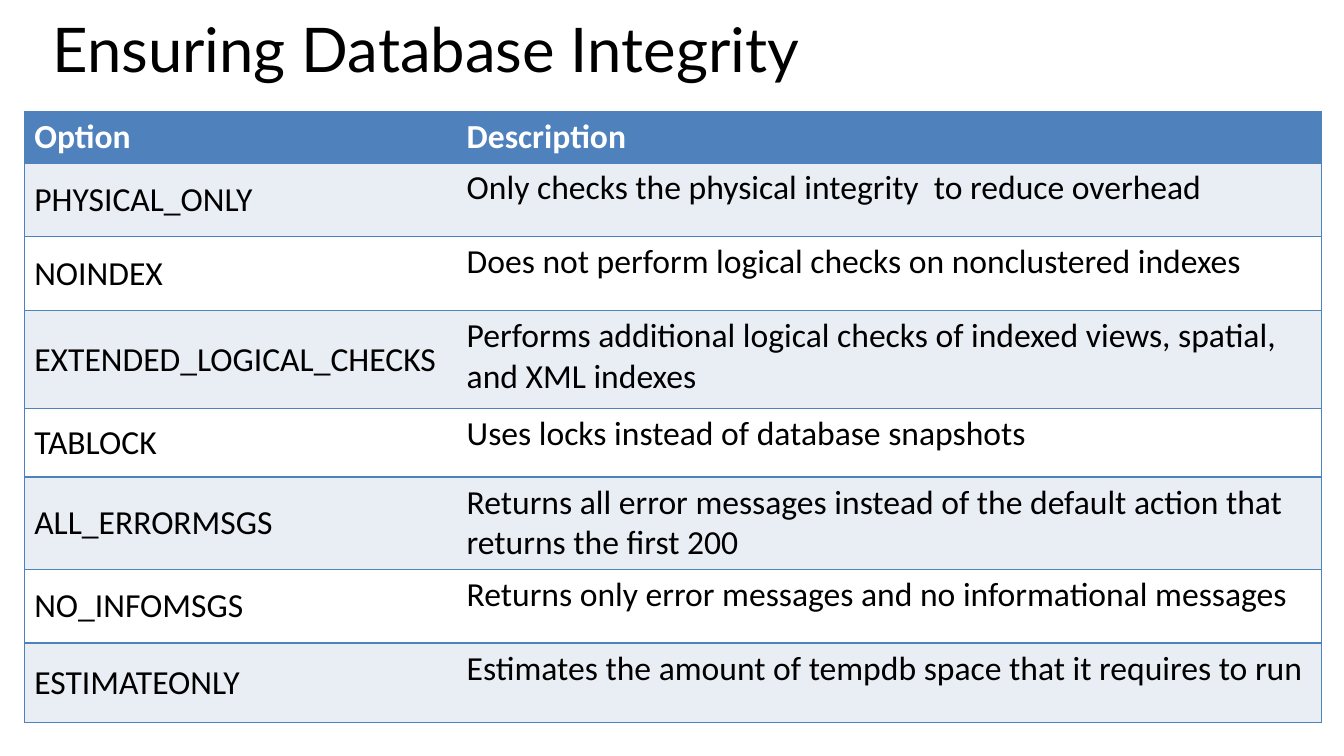
"""Build a slide that lists the options for checking database integrity."""
from dataclasses import dataclass

from lxml.etree import SubElement
from pptx import Presentation
from pptx.dml.color import RGBColor
from pptx.enum.text import MSO_ANCHOR, MSO_AUTO_SIZE, PP_ALIGN
from pptx.oxml.ns import qn
from pptx.util import Pt

BLUE = "4F81BD"
PALE = "E9EDF4"
WHITE = "FFFFFF"
BLACK = "000000"


@dataclass
class Row:
    option: str
    detail: str
    height: float


ROWS = [
    Row("Option", "Description", 36.5),
    Row("PHYSICAL_ONLY", "Only checks the physical integrity  to reduce overhead", 52.8),
    Row("NOINDEX", "Does not perform logical checks on nonclustered indexes", 52.8),
    Row("EXTENDED_LOGICAL_CHECKS",
        "Performs additional logical checks of indexed views, spatial, and XML indexes", 69.8),
    Row("TABLOCK", "Uses locks instead of database snapshots", 49),
    Row("ALL_ERRORMSGS",
        "Returns all error messages instead of the default action that returns the first 200", 65.8),
    Row("NO_INFOMSGS", "Returns only error messages and no informational messages", 52.8),
    Row("ESTIMATEONLY", "Estimates the amount of tempdb space that it requires to run", 56.6),
]
WIDTHS = (308.9, 617.7)


def color(code: str) -> RGBColor:
    return RGBColor.from_string(code)


def style(part, face: str, size: float, code: str, bold: bool = False) -> None:
    for run in part.runs:
        run.font.name = face
        run.font.size = Pt(size)
        run.font.bold = bold
        run.font.color.rgb = color(code)


def border(cell, sides: str) -> None:
    props = cell._tc.get_or_add_tcPr()
    for spot, side in enumerate("LRTB"):
        line = SubElement(props, qn(f"a:ln{side}"), w=str(Pt(1)))
        if side in sides:
            fill = SubElement(line, qn("a:solidFill"))
            SubElement(fill, qn("a:srgbClr"), val=BLUE)
        else:
            SubElement(line, qn("a:noFill"))
        props.insert(spot, line)


def draw_cell(cell, text: str, fill: str, head: bool, first: bool) -> None:
    cell.text_frame.text = text
    style(cell.text_frame.paragraphs[0], "Calibri", 24, WHITE if head else BLACK, head)
    cell.vertical_anchor = MSO_ANCHOR.MIDDLE if first else MSO_ANCHOR.TOP
    cell.fill.solid()
    cell.fill.fore_color.rgb = color(fill)
    border(cell, "LTB" if first else "RTB")


def draw_title(shape, text: str) -> None:
    shape.left, shape.top = Pt(30.2), Pt(14.4)
    shape.width, shape.height = Pt(907.2), Pt(83.5)
    frame = shape.text_frame
    frame.text = text
    frame.word_wrap = True
    frame.auto_size = MSO_AUTO_SIZE.NONE
    frame.vertical_anchor = MSO_ANCHOR.TOP
    part = frame.paragraphs[0]
    part.alignment = PP_ALIGN.LEFT
    part.line_spacing = 0.8
    style(part, "Lato", 44, BLACK)


def draw_table(slide, rows: list[Row]) -> None:
    total = sum(row.height for row in rows)
    frame = slide.shapes.add_table(
        len(rows), len(WIDTHS), Pt(17.3), Pt(79.9), Pt(sum(WIDTHS)), Pt(total))
    table = frame.table
    for column, width in zip(table.columns, WIDTHS):
        column.width = Pt(width)
    for index, row in enumerate(rows):
        table.rows[index].height = Pt(row.height)
        head = index == 0
        fill = BLUE if head else PALE if index % 2 else WHITE
        draw_cell(table.cell(index, 0), row.option, fill, head, True)
        draw_cell(table.cell(index, 1), row.detail, fill, head, False)


def main() -> None:
    deck = Presentation()
    deck.slide_width, deck.slide_height = Pt(960), Pt(540)
    slide = deck.slides.add_slide(deck.slide_layouts[5])
    draw_title(slide.shapes.title, "Ensuring Database Integrity")
    draw_table(slide, ROWS)
    deck.save("out.pptx")


if __name__ == "__main__":
    main()
